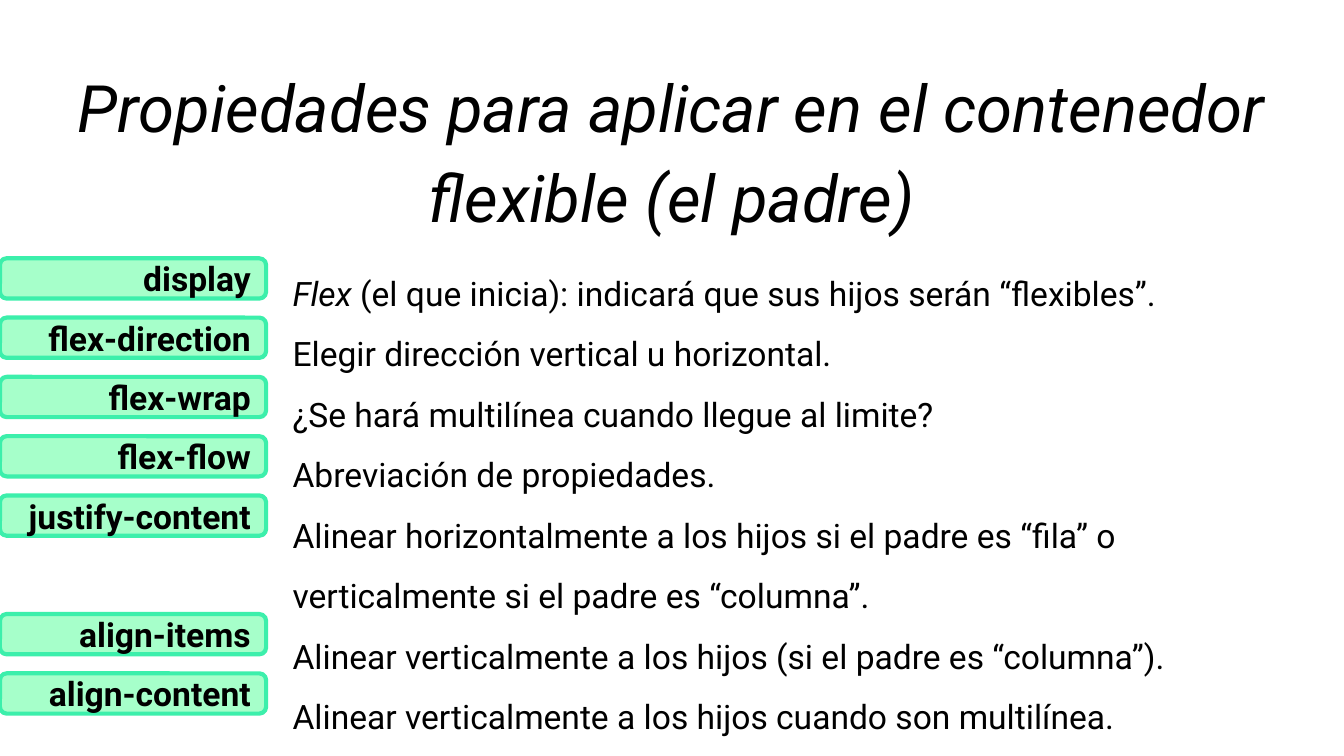
from pptx import Presentation
from pptx.dml.color import RGBColor
from pptx.enum.shapes import MSO_SHAPE
from pptx.enum.text import MSO_ANCHOR, PP_ALIGN
from pptx.util import Cm, Pt

BLACK = RGBColor(0x00, 0x00, 0x00)
MINT = RGBColor(0xA6, 0xFF, 0xCA)
GREEN = RGBColor(0x3C, 0xEF, 0xAB)
ROUNDED = MSO_SHAPE.ROUNDED_RECTANGLE
LEFT, CENTER, RIGHT = PP_ALIGN.LEFT, PP_ALIGN.CENTER, PP_ALIGN.RIGHT
TOP, MIDDLE = MSO_ANCHOR.TOP, MSO_ANCHOR.MIDDLE

TITLE = "Propiedades para aplicar en el contenedor flexible (el padre)"

# Each paragraph is a list of (text, italic) runs
DESCRIPTIONS = [
    [("Flex ", True),
     ("(el que inicia): indicará que sus hijos serán “flexibles”.", False)],
    [("Elegir dirección vertical u horizontal.", False)],
    [("¿Se hará multilínea cuando llegue al limite?", False)],
    [("Abreviación de propiedades.", False)],
    [("Alinear horizontalmente a los hijos si el padre es “fila” o "
      "verticalmente si el padre es “columna”.", False)],
    [("Alinear verticalmente a los hijos (si el padre es “columna”).", False)],
    [("Alinear verticalmente a los hijos cuando son multilínea.", False)],
]

# Row 5 stays free for the description that takes two lines
PROPERTY_ROWS = {
    "display": 0,
    "flex-direction": 1,
    "flex-wrap": 2,
    "flex-flow": 3,
    "justify-content": 4,
    "align-items": 6,
    "align-content": 7,
}
FIRST_ROW, ROW_PITCH = 4.88, 1.12


class SlideBuilder:
    font_name = "Roboto"
    margin = Cm(0.25)

    def __init__(self, slide):
        self.slide = slide

    def prepare_frame(self, shape, anchor):
        frame = shape.text_frame
        frame.word_wrap = True
        frame.vertical_anchor = anchor
        frame.margin_left = frame.margin_right = self.margin
        frame.margin_top = frame.margin_bottom = self.margin
        return frame

    def style_font(self, font, size, bold=False, italic=False):
        font.name = self.font_name
        font.size = Pt(size)
        font.bold = bold
        font.italic = italic
        font.color.rgb = BLACK

    def text(self, left, top, width, height, paragraphs, size,
             line_spacing, alignment=LEFT, space_after=0):
        box = self.slide.shapes.add_textbox(
            Cm(left), Cm(top), Cm(width), Cm(height))
        frame = self.prepare_frame(box, TOP)
        for index, runs in enumerate(paragraphs):
            paragraph = frame.add_paragraph() if index else frame.paragraphs[0]
            paragraph.alignment = alignment
            paragraph.line_spacing = line_spacing
            paragraph.space_after = Pt(space_after)
            for content, italic in runs:
                run = paragraph.add_run()
                run.text = content
                self.style_font(run.font, size, italic=italic)

    def label(self, left, top, width, height, content):
        shape = self.slide.shapes.add_shape(
            ROUNDED, Cm(left), Cm(top), Cm(width), Cm(height))
        shape.shadow.inherit = False
        shape.fill.solid()
        shape.fill.fore_color.rgb = MINT
        shape.line.color.rgb = GREEN
        shape.line.width = Pt(2.25)
        frame = self.prepare_frame(shape, MIDDLE)
        frame.text = content
        paragraph = frame.paragraphs[0]
        paragraph.alignment = RIGHT
        self.style_font(paragraph.runs[0].font, 18, bold=True)


def main():
    presentation = Presentation()
    presentation.slide_width = Cm(25.4)
    presentation.slide_height = Cm(14.28)
    slide = presentation.slides.add_slide(presentation.slide_layouts[6])
    builder = SlideBuilder(slide)

    # Descriptions
    builder.text(5.28, 4.52, 19.71, 7.72, DESCRIPTIONS, 18, 1.5)

    # Title
    builder.text(0, 0.79, 25.4, 1.32, [[(TITLE, True)]], 35, 1.15,
                 alignment=CENTER, space_after=12)

    # Property labels
    for name, row in PROPERTY_ROWS.items():
        builder.label(0, FIRST_ROW + row * ROW_PITCH, 5.03, 0.76, name)

    presentation.save("out.pptx")


if __name__ == "__main__":
    main()
